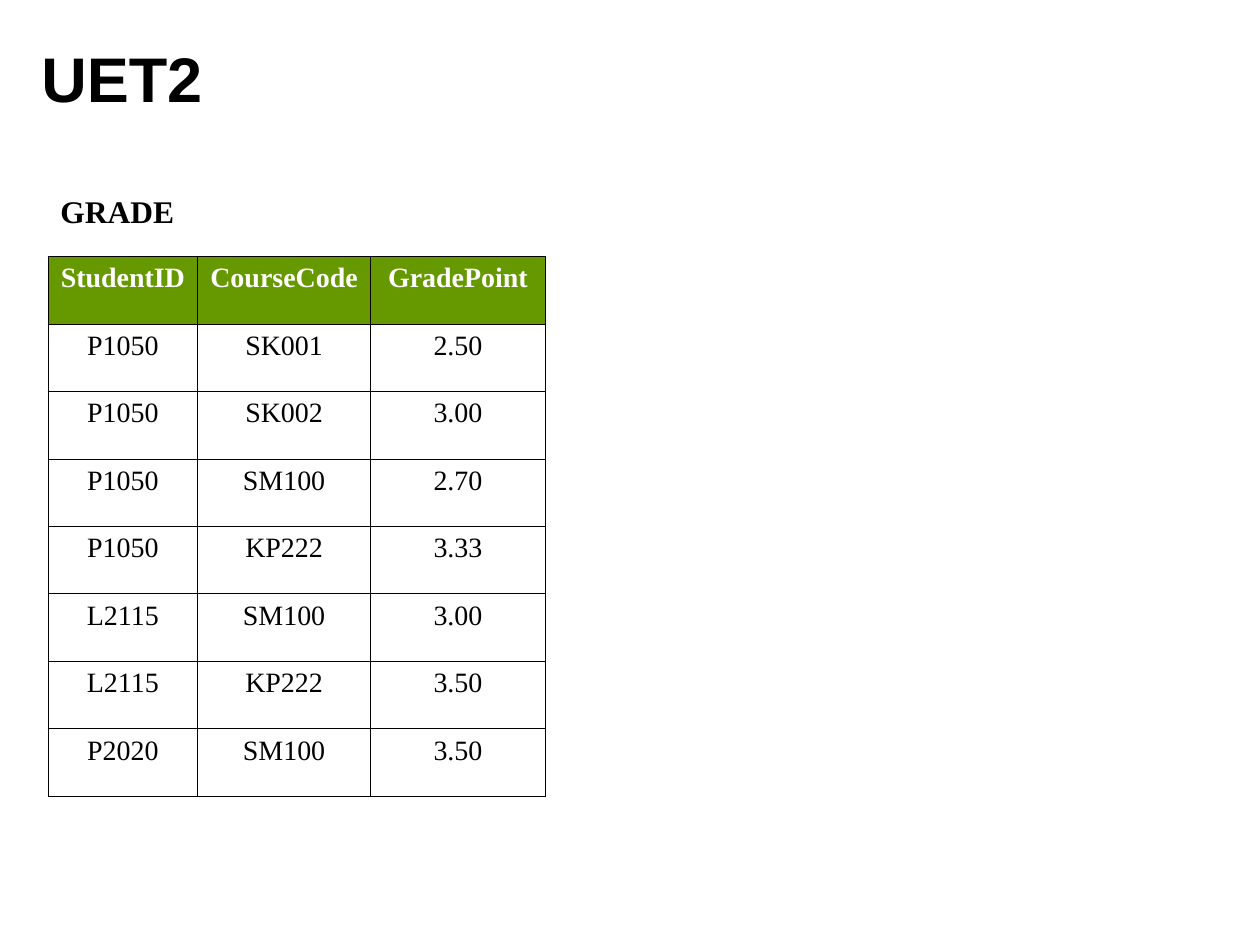
from lxml import etree
from pptx import Presentation
from pptx.dml.color import RGBColor
from pptx.enum.text import MSO_ANCHOR, PP_ALIGN
from pptx.oxml.ns import qn
from pptx.util import Inches, Pt

MIDDLE = MSO_ANCHOR.MIDDLE
LEFT, CENTER = PP_ALIGN.LEFT, PP_ALIGN.CENTER
BLACK = RGBColor(0x00, 0x00, 0x00)
WHITE = RGBColor(0xFF, 0xFF, 0xFF)
GREEN = RGBColor(0x66, 0x99, 0x00)

ROWS = [
    ("GRADE", "", ""),
    ("StudentID", "CourseCode", "GradePoint"),
    ("P1050", "SK001", "2.50"),
    ("P1050", "SK002", "3.00"),
    ("P1050", "SM100", "2.70"),
    ("P1050", "KP222", "3.33"),
    ("L2115", "SM100", "3.00"),
    ("L2115", "KP222", "3.50"),
    ("P2020", "SM100", "3.50"),
]
WIDTHS = [1.19, 1.37, 1.39]


def write(frame, text, face, size, color, bold, align=LEFT):
    para = frame.paragraphs[0]
    para.alignment = align
    run = para.add_run()
    run.text = text
    font = run.font
    font.name, font.size, font.bold = face, Pt(size), bold
    font.color.rgb = color


def border(cell, shown):
    props = cell._tc.get_or_add_tcPr()
    for spot, side in enumerate(("lnL", "lnR", "lnT", "lnB")):
        line = etree.Element(qn("a:" + side), w=str(Pt(0.45)))
        if side in shown:
            fill = etree.SubElement(line, qn("a:solidFill"))
            etree.SubElement(fill, qn("a:srgbClr"), val=str(BLACK))
        else:
            etree.SubElement(line, qn("a:noFill"))
        props.insert(spot, line)


prs = Presentation()
prs.slide_width, prs.slide_height = Inches(10), Inches(7.5)
slide = prs.slides.add_slide(prs.slide_layouts[6])

# Title
title = slide.shapes.add_textbox(
    Inches(0.23), Inches(0.15), Inches(8.03), Inches(0.93))
frame = title.text_frame
frame.word_wrap = True
frame.vertical_anchor = MIDDLE
write(frame, "UET2", "Arial", 36, BLACK, True)

# Grade table
table = slide.shapes.add_table(
    len(ROWS), len(WIDTHS), Inches(0.38), Inches(1.5),
    Inches(sum(WIDTHS)), Inches(4.82)).table
table.first_row = table.horz_banding = False
for col, width in zip(table.columns, WIDTHS):
    col.width = Inches(width)
for row in table.rows:
    row.height = Inches(4.82 / len(ROWS))
table.cell(0, 0).merge(table.cell(0, 2))

# Cells: caption row, green header row, then the grades
for r, values in enumerate(ROWS):
    for c, value in enumerate(values):
        cell = table.cell(r, c)
        if r == 1:
            cell.fill.solid()
            cell.fill.fore_color.rgb = GREEN
        else:
            cell.fill.background()
        border(cell, ("lnL", "lnR", "lnT", "lnB") if r else ("lnB",))
        if value:
            write(cell.text_frame, value, "Times New Roman",
                  16 if r else 18, WHITE if r == 1 else BLACK,
                  r < 2, CENTER if r else LEFT)

prs.save("out.pptx")
